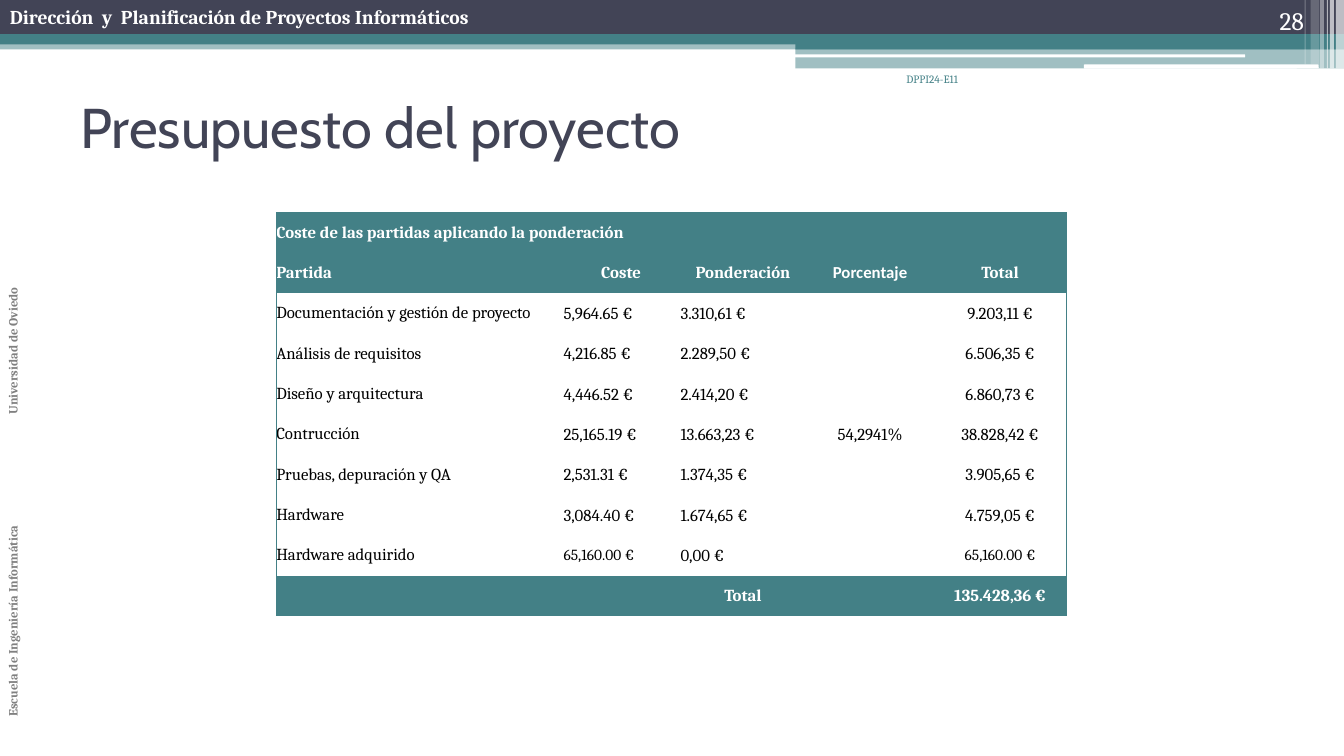
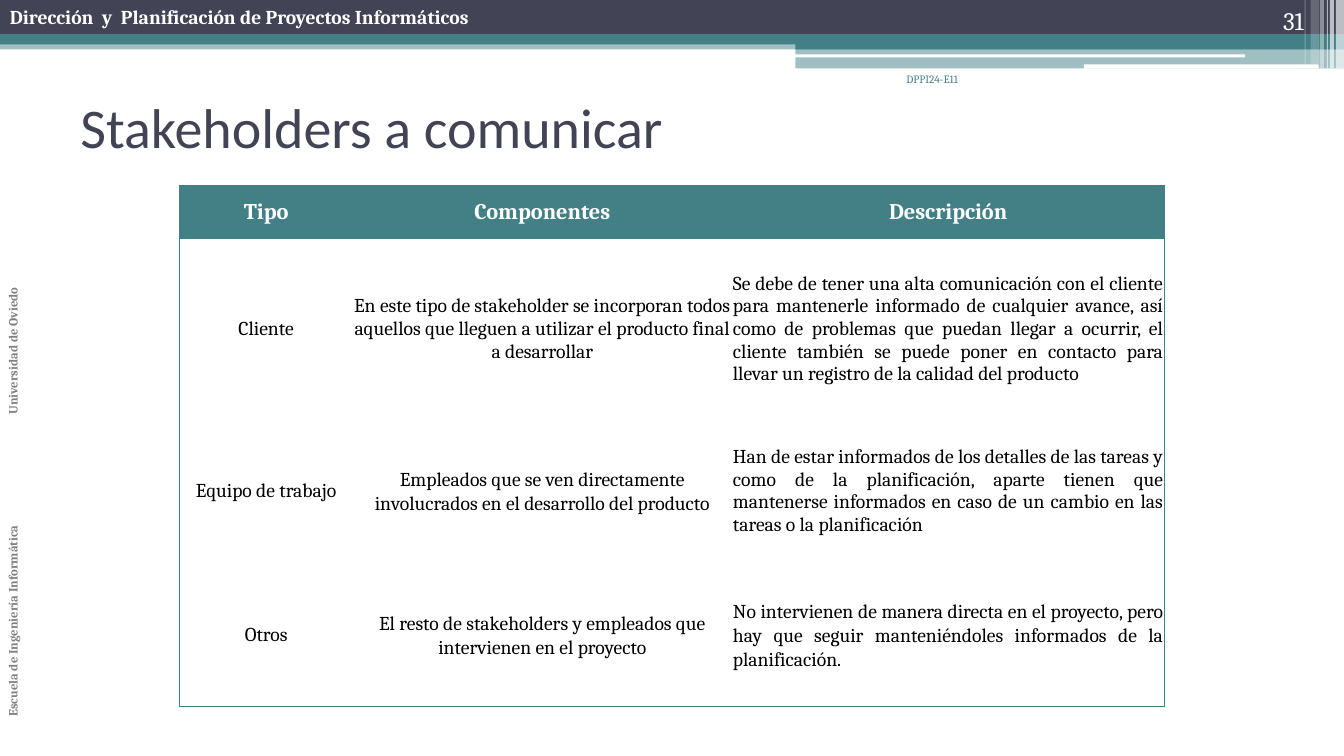
from lxml import etree
from pptx import Presentation
from pptx.dml.color import RGBColor
from pptx.enum.shapes import MSO_SHAPE as Shape
from pptx.enum.text import MSO_ANCHOR as Anchor, PP_ALIGN as Align
from pptx.oxml.ns import qn
from pptx.util import Inches, Pt

TEAL = RGBColor(0x43, 0x80, 0x86)
SLATE = RGBColor(0x42, 0x44, 0x56)
GRAY = RGBColor(0x80, 0x80, 0x80)
WHITE = RGBColor(0xFF, 0xFF, 0xFF)
BLACK = RGBColor(0, 0, 0)
SERIF = "Cambria"
LEFT, CENTER, RIGHT, JUSTIFY = Align.LEFT, Align.CENTER, Align.RIGHT, Align.JUSTIFY

# Bands: left, top, width, height, colour, opacity in percent
BANDS = [
    (0, 0.4, 13.33, 0.09, TEAL, 50),
    (0, 0, 13.33, 0.34, SLATE, 100),
    (0, 0.34, 13.33, 0.1, TEAL, 100),
    (7.89, 0.39, 5.44, 0.1, TEAL, 100),
    (7.89, 0.48, 5.44, 0.2, TEAL, 50),
    (7.88, 0.54, 4.47, 0.03, WHITE, 100),
    (10.75, 0.64, 2.33, 0.04, WHITE, 100),
    (13.25, 0, 0.08, 0.68, WHITE, 65),
    (13.19, 0, 0.04, 0.68, WHITE, 65),
    (13.16, 0, 0.01, 0.68, WHITE, 60),
    (13.09, 0, 0.04, 0.68, WHITE, 40),
    (13, 0, 0.08, 0.64, WHITE, 20),
    (12.94, 0, 0.01, 0.64, WHITE, 30),
]


def write(text_frame, text, size, color, bold=False, align=LEFT, font=SERIF):
    paragraph = text_frame.paragraphs[0]
    paragraph.text = text
    paragraph.alignment = align
    paragraph.font.name = font
    paragraph.font.size = Pt(size)
    paragraph.font.bold = bold
    paragraph.font.color.rgb = color


def add_grid(slide, left, top, widths, heights, rows, teal_rows, sizes, head_aligns, body_aligns):
    """Add a table with a teal outline and teal rows; sizes holds (teal row, body) points."""
    frame = slide.shapes.add_table(
        len(heights), len(widths), Inches(left), Inches(top),
        Inches(sum(widths)), Inches(sum(heights)))
    table = frame.table
    table.first_row = table.horz_banding = False
    for column, width in zip(table.columns, widths):
        column.width = Inches(width)
    for row, height in zip(table.rows, heights):
        row.height = Inches(height)
    for r, texts in enumerate(rows):
        teal = r in teal_rows
        for c, text in enumerate(texts):
            cell = table.cell(r, c)
            inset = Inches(0 if teal or c == 0 else 0.01)
            cell.margin_left = cell.margin_right = cell.margin_top = inset
            cell.margin_bottom = 0
            cell.vertical_anchor = Anchor.MIDDLE
            outer_edges = {"a:lnL": c == 0, "a:lnR": c == len(widths) - 1,
                           "a:lnT": r == 0, "a:lnB": r == len(heights) - 1}
            for edge, outer in outer_edges.items():
                line = etree.SubElement(cell._tc.get_or_add_tcPr(), qn(edge), w=str(Pt(0.75)))
                if outer:
                    solid = etree.SubElement(line, qn("a:solidFill"))
                    etree.SubElement(solid, qn("a:srgbClr"), val=str(TEAL))
                else:
                    etree.SubElement(line, qn("a:noFill"))
            cell.fill.solid()
            cell.fill.fore_color.rgb = TEAL if teal else WHITE
            if text:
                write(cell.text_frame, text, sizes[0] if teal else sizes[1],
                      WHITE if teal else BLACK, teal,
                      (head_aligns if teal else body_aligns)[c])
    return table


presentation = Presentation()
presentation.slide_width = Inches(13.33)
presentation.slide_height = Inches(7.5)

# Shared frame: bands, course, school, code, slide number and title
slides = []
for number, title, title_font in [
    ("28", "Presupuesto del proyecto", "Cabin"),
    ("31", "Stakeholders a comunicar", "Calibri"),
]:
    slide = presentation.slides.add_slide(presentation.slide_layouts[6])
    slides.append(slide)
    for left, top, width, height, color, opacity in BANDS:
        kind = Shape.ROUNDED_RECTANGLE if top in (0.54, 0.64) else Shape.RECTANGLE
        band = slide.shapes.add_shape(
            kind, Inches(left), Inches(top), Inches(width), Inches(height))
        band.shadow.inherit = False
        band.line.fill.background()
        band.fill.solid()
        band.fill.fore_color.rgb = color
        if opacity < 100:
            rgb = band._element.spPr.find(".//" + qn("a:srgbClr"))
            etree.SubElement(rgb, qn("a:alpha"), val=str(opacity * 1000))

    labels = [
        ((0, 0, 8.24, 0.34), Anchor.TOP, False,
         ("Dirección  y  Planificación de Proyectos Informáticos", 14, WHITE, True)),
        ((0, 0.54, 0.35, 6.67), Anchor.TOP, True,
         ("Escuela de Ingeniería Informática\t\t\tUniversidad de Oviedo", 9, GRAY, True)),
        ((7.67, 0.67, 1.93, 0.5), Anchor.TOP, False, ("DPPI24-E11", 8, TEAL, False, RIGHT)),
        ((11.92, 0, 1.11, 0.4), Anchor.BOTTOM, False, (number, 18, WHITE, False, RIGHT)),
        ((0.7, 0.67, 12, 1.17), Anchor.MIDDLE, False,
         (title, 40, SLATE, False, LEFT, title_font)),
    ]
    for box, anchor, upward, style in labels:
        text_frame = slide.shapes.add_textbox(*map(Inches, box)).text_frame
        text_frame.word_wrap = True
        text_frame.vertical_anchor = anchor
        if upward:
            text_frame._txBody.bodyPr.set("vert", "vert270")
        write(text_frame, *style)

budget_slide, stakeholder_slide = slides

# Budget table
budget_rows = [
    ("Coste de las partidas aplicando la ponderación", "", "", "", ""),
    ("Partida", "Coste", "Ponderación", "Porcentaje", "Total"),
    ("Documentación y gestión de proyecto", "5,964.65 €", "3.310,61 €", "54,2941%", "9.203,11 €"),
    ("Análisis de requisitos", "4,216.85 €", "2.289,50 €", "", "6.506,35 €"),
    ("Diseño y arquitectura", "4,446.52 €", "2.414,20 €", "", "6.860,73 €"),
    ("Contrucción", "25,165.19 €", "13.663,23 €", "", "38.828,42 €"),
    ("Pruebas, depuración y QA", "2,531.31 €", "1.374,35 €", "", "3.905,65 €"),
    ("Hardware", "3,084.40 €", "1.674,65 €", "", "4.759,05 €"),
    ("Hardware adquirido", "65,160.00 €", "0,00 €", "", "65,160.00 €"),
    ("", "", "Total", "", "135.428,36 €"),
]
budget = add_grid(
    budget_slide, 2.74, 2.11, [2.84, 1.16, 1.26, 1.26, 1.32], [0.4] * len(budget_rows),
    budget_rows, {0, 1, 9}, (12, 12),
    [LEFT] + [CENTER] * 4, [LEFT, LEFT, LEFT, CENTER, CENTER])
budget.cell(0, 0).merge(budget.cell(0, 4))
budget.cell(2, 3).merge(budget.cell(8, 3))
budget.cell(1, 3).text_frame.paragraphs[0].font.name = "Calibri"
for c in (1, 4):
    budget.cell(8, c).text_frame.paragraphs[0].font.size = Pt(11)

# Stakeholder table
stakeholder_rows = [
    ("Tipo", "Componentes", "Descripción"),
    ("Cliente",
     "En este tipo de stakeholder se incorporan todos aquellos que lleguen a utilizar "
     "el producto final a desarrollar",
     "Se debe de tener una alta comunicación con el cliente para mantenerle informado de "
     "cualquier avance, así como de problemas que puedan llegar a ocurrir, el cliente también "
     "se puede poner en contacto para llevar un registro de la calidad del producto"),
    ("Equipo de trabajo",
     "Empleados que se ven directamente involucrados en el desarrollo del producto",
     "Han de estar informados de los detalles de las tareas y como de la planificación, aparte "
     "tienen que mantenerse informados en caso de un cambio en las tareas o la planificación"),
    ("Otros",
     "El resto de stakeholders y empleados que intervienen en el proyecto",
     "No intervienen de manera directa en el proyecto, pero hay que seguir manteniéndoles "
     "informados de la planificación."),
]
stakeholders = add_grid(
    stakeholder_slide, 1.78, 1.84, [1.72, 3.76, 4.29], [0.53, 1.78, 1.43, 1.43],
    stakeholder_rows, {0}, (16, 14), [CENTER] * 3, [CENTER, CENTER, JUSTIFY])
for r, c in [(2, 0), (2, 1), (3, 0), (3, 1), (3, 2)]:
    paragraph = stakeholders.cell(r, c).text_frame.paragraphs[0]
    paragraph.line_spacing = 1.07
    paragraph.space_after = Pt(8)

presentation.save("out.pptx")
